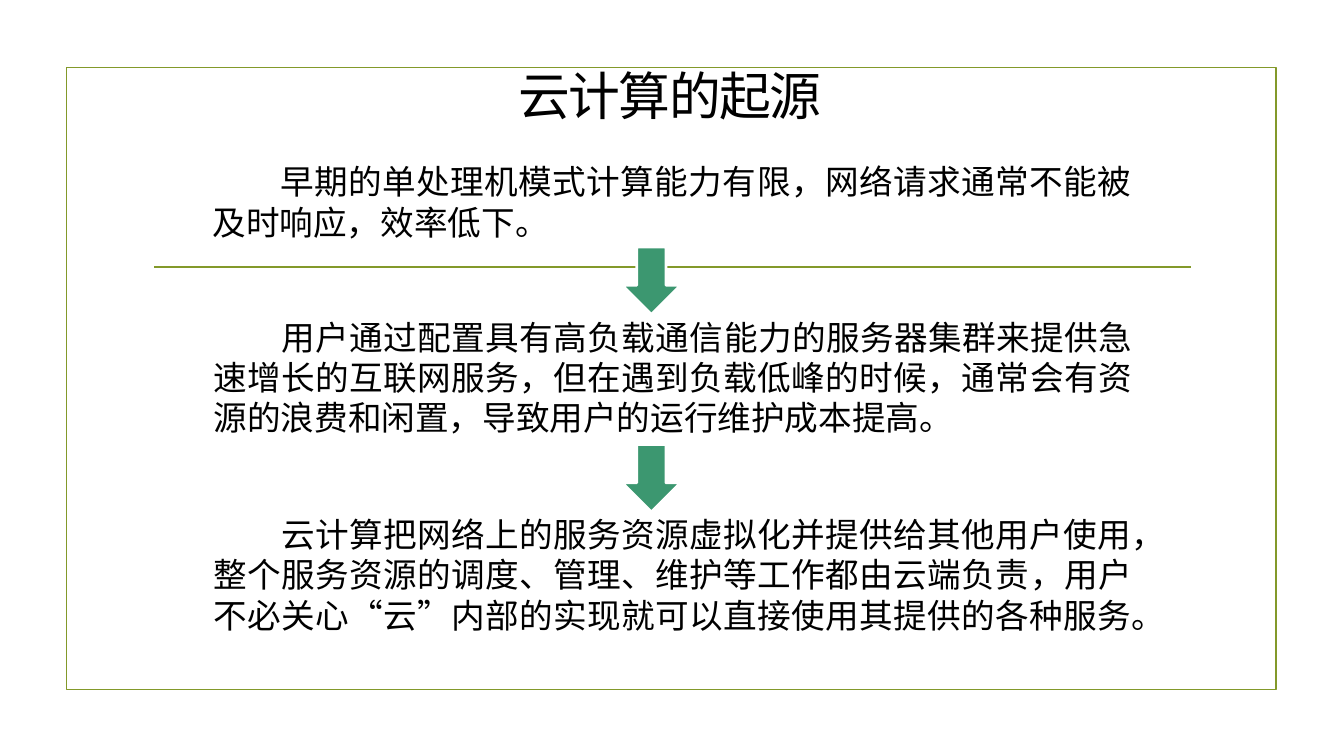
from pptx import Presentation
from pptx.dml.color import RGBColor
from pptx.enum.shapes import MSO_CONNECTOR, MSO_SHAPE
from pptx.enum.text import MSO_ANCHOR, MSO_AUTO_SIZE, PP_ALIGN
from pptx.oxml.ns import qn
from pptx.util import Inches, Pt
from lxml import etree

RECT, ARROW = MSO_SHAPE.RECTANGLE, MSO_SHAPE.DOWN_ARROW
STRAIGHT = MSO_CONNECTOR.STRAIGHT
CENTER, JUSTIFY = PP_ALIGN.CENTER, PP_ALIGN.JUSTIFY
GROW = MSO_AUTO_SIZE.SHAPE_TO_FIT_TEXT
TOP, MIDDLE = MSO_ANCHOR.TOP, MSO_ANCHOR.MIDDLE
COLORS = {"olive": "83992A", "green": "3C9770", "white": "FFFFFF", "black": "000000"}


def paint(line, name, width):
    line.color.rgb = RGBColor.from_string(COLORS[name])
    line.width = Pt(width)


def add_text(box, text, font, size, align, anchor):
    shape = slide.shapes.add_textbox(*[Inches(v) for v in box])
    frame = shape.text_frame
    frame.word_wrap = True
    frame.auto_size = GROW
    frame.vertical_anchor = anchor
    frame.text = text
    para = frame.paragraphs[0]
    para.alignment = align
    run = para.runs[0]
    run.font.name = font
    run.font.size = Pt(size)
    run.font.color.rgb = RGBColor.from_string(COLORS["black"])
    return frame


deck = Presentation()
deck.slide_width, deck.slide_height = Inches(13.33), Inches(7.5)
slide = deck.slides.add_slide(deck.slide_layouts[6])

# Frame and rule
border = slide.shapes.add_shape(RECT, Inches(0.66), Inches(0.67), Inches(12), Inches(6.17))
border.shadow.inherit = False
border.fill.background()
paint(border.line, "olive", 1.25)
rule = slide.shapes.add_connector(STRAIGHT, Inches(1.53), Inches(2.65), Inches(11.81), Inches(2.65))
paint(rule.line, "olive", 1.25)
etree.SubElement(rule.element.spPr, qn("a:effectLst"))

# Title
title = add_text((2.06, 0.7, 9.17, 0.56), "云计算的起源", "Times New Roman", 37, CENTER, MIDDLE)
title.margin_left = title.margin_right = title.margin_top = title.margin_bottom = 0
head = title.paragraphs[0]
head.line_spacing = 0.9
head.runs[0].font._element.set("spc", "-120")

# Stages, each with a first-line indent
stages = [
    (2.01, 1.55, 0.91, "早期的单处理机模式计算能力有限，网络请求通常不能被及时响应，效率低下。"),
    (2.02, 3.09, 1.31, "用户通过配置具有高负载通信能力的服务器集群来提供急速增长的互联网服务，"
                       "但在遇到负载低峰的时候，通常会有资源的浪费和闲置，导致用户的运行维护成本提高。"),
    (2.02, 5.05, 1.31, "云计算把网络上的服务资源虚拟化并提供给其他用户使用，"
                       "整个服务资源的调度、管理、维护等工作都由云端负责，"
                       "用户不必关心“云”内部的实现就可以直接使用其提供的各种服务。"),
]
for left, top, height, text in stages:
    body = add_text((left, top, 9.31, height), text, "Arial", 24, JUSTIFY, TOP)
    props = body.paragraphs[0]._p.get_or_add_pPr()
    props.set("marL", "0")
    props.set("indent", str(Inches(0.67)))

# Arrows between stages
for top in (2.45, 4.41):
    arrow = slide.shapes.add_shape(ARROW, Inches(6.17), Inches(top), Inches(0.58), Inches(0.67))
    arrow.shadow.inherit = False
    arrow.fill.solid()
    arrow.fill.fore_color.rgb = RGBColor.from_string(COLORS["green"])
    paint(arrow.line, "white", 2)

deck.save("out.pptx")
